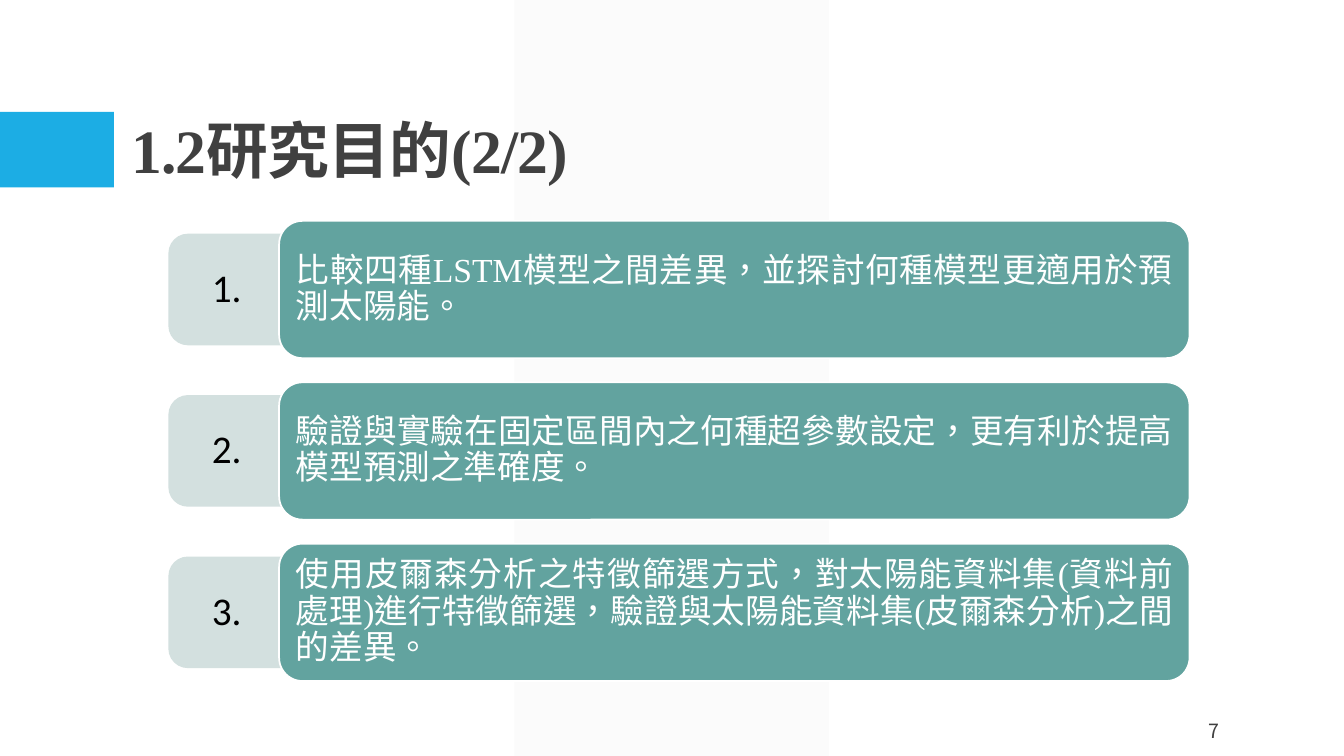
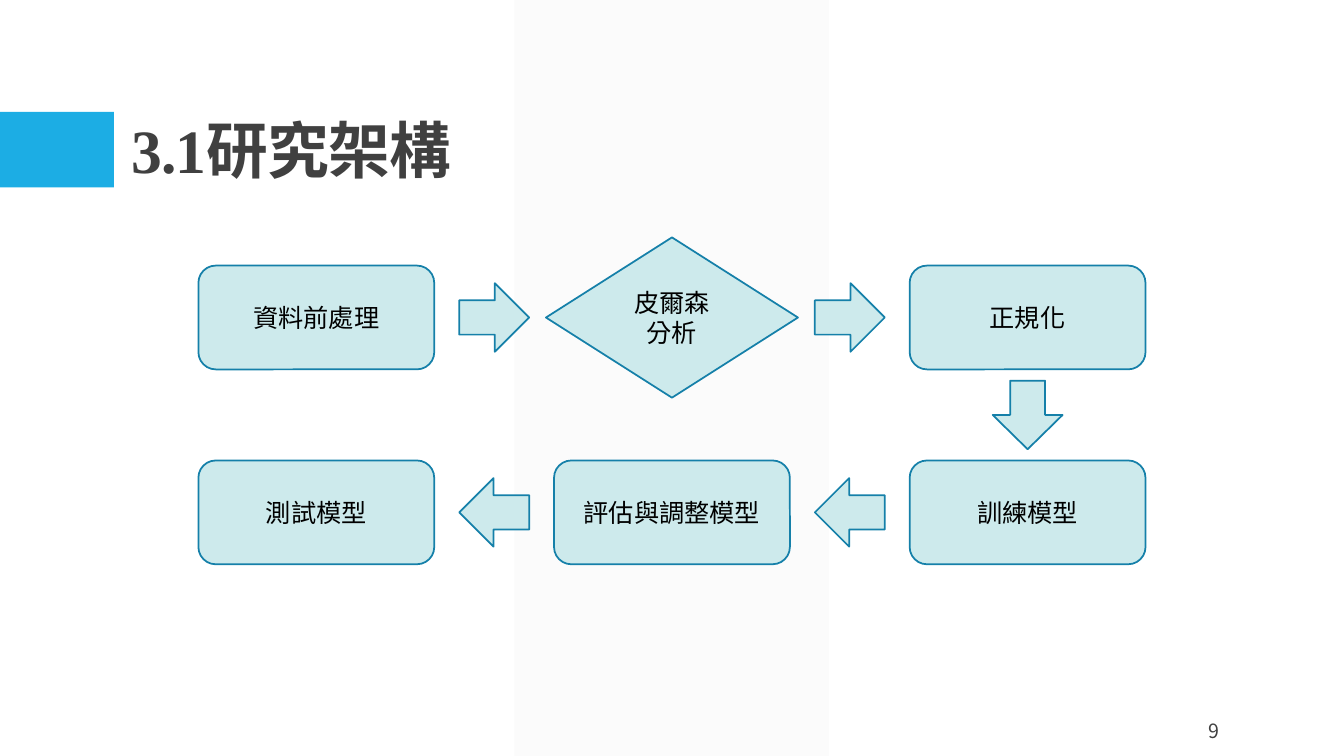
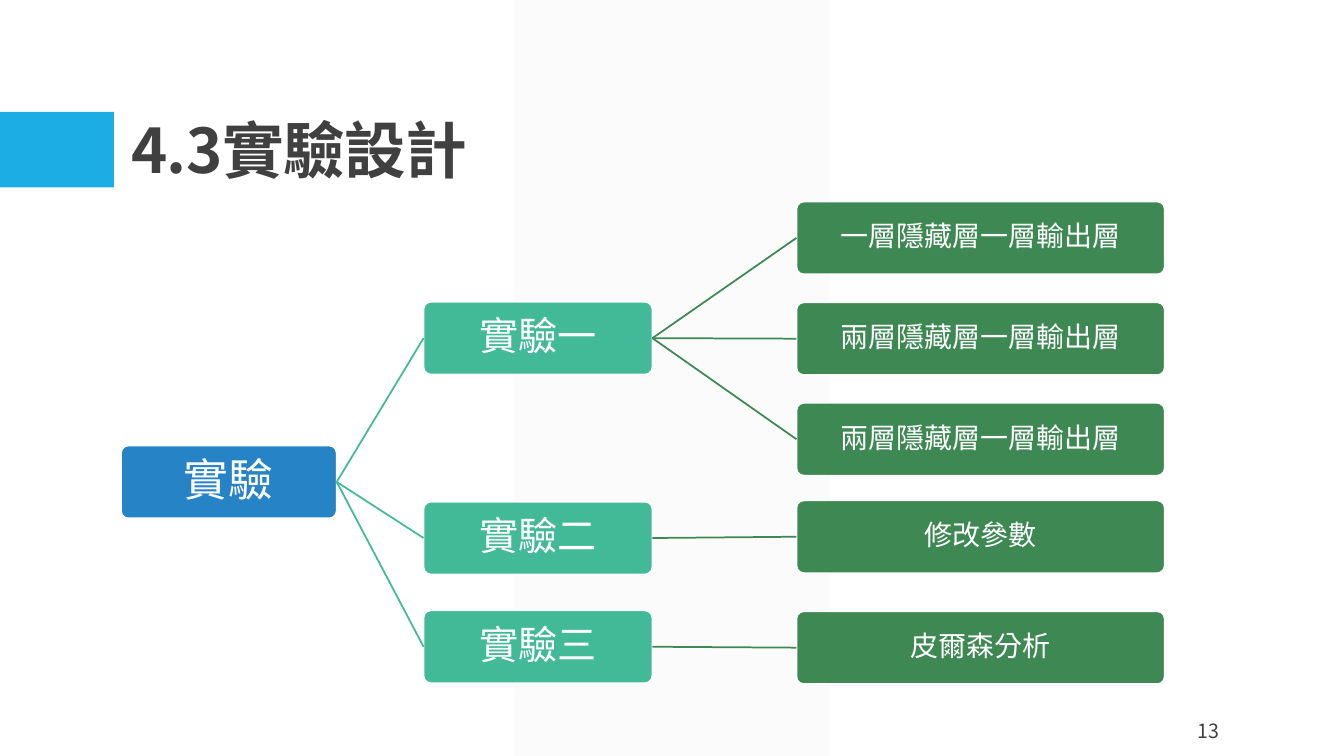
from lxml import etree
from pptx import Presentation
from pptx.dml.color import RGBColor
from pptx.enum.shapes import MSO_CONNECTOR, MSO_SHAPE
from pptx.enum.text import MSO_ANCHOR, MSO_AUTO_SIZE, PP_ALIGN
from pptx.oxml.ns import qn
from pptx.util import Inches, Pt

LEFT, CENTER, RIGHT, JUSTIFY = PP_ALIGN.LEFT, PP_ALIGN.CENTER, PP_ALIGN.RIGHT, PP_ALIGN.JUSTIFY
MIDDLE, BOTTOM = MSO_ANCHOR.MIDDLE, MSO_ANCHOR.BOTTOM
NO_AUTOFIT = MSO_AUTO_SIZE.NONE
RECT, ROUNDED, DIAMOND = MSO_SHAPE.RECTANGLE, MSO_SHAPE.ROUNDED_RECTANGLE, MSO_SHAPE.FLOWCHART_DECISION
ARROWS = {(1, 0): MSO_SHAPE.RIGHT_ARROW, (-1, 0): MSO_SHAPE.LEFT_ARROW, (0, 1): MSO_SHAPE.DOWN_ARROW}
STRAIGHT = MSO_CONNECTOR.STRAIGHT
RIGHT_SITE, LEFT_SITE = 3, 1
LINE_WIDTH = Pt(1.25)
SERIF, SANS, SANS_TC, NUMERAL = "Times New Roman", "Noto Sans CJK SC", "Noto Sans CJK TC", "Calibri"

COLORS = {
    "white": "FFFFFF", "black": "000000", "ink": "404040", "band": "F2F2F2", "accent": "1CADE4",
    "tab": "D3E0DF", "card": "62A39F", "step": "CDEAEC", "step_line": "1580A9",
    "root": "2683C6", "branch": "42BA97", "leaf": "3E8853",
}


def color(name):
    """Return the named colour."""
    return RGBColor.from_string(COLORS[name])


def write(shape, text, size, font=SERIF, east_font=SANS_TC, ink="black", bold=False,
          align=CENTER, anchor=MIDDLE, spacing=1.0, tracking=0, margins=(0.1, 0.1)):
    """Fill a shape with formatted paragraphs, one for each line of text."""
    frame = shape.text_frame
    frame.word_wrap, frame.auto_size, frame.vertical_anchor = True, NO_AUTOFIT, anchor
    frame.margin_left, frame.margin_right = (Inches(margin) for margin in margins)
    for index, line in enumerate(text.split("\n")):
        para = frame.add_paragraph() if index else frame.paragraphs[0]
        para.alignment, para.line_spacing = align, spacing
        span = para.add_run()
        span.text = line
        span.font.name, span.font.size, span.font.bold = font, Pt(size), bold
        span.font.color.rgb = color(ink)
        properties = span.font._element
        properties.set("lang", "zh-TW")
        properties.find(qn("a:latin")).addnext(
            properties.makeelement(qn("a:ea"), {"typeface": east_font}))
        if tracking:
            properties.set("spc", str(int(tracking * 100)))


class Deck:
    """Hold the shared style and the current page; lengths are percent of the slide, from centres."""

    def __init__(self):
        """Set up the slide size and the shared layout."""
        self.deck = Presentation()
        self.deck.slide_width, self.deck.slide_height = Inches(13.33), Inches(7.5)
        self.layout = self.deck.slide_layouts[5]
        self.page = None
        title = self.layout.placeholders[0]
        title.left, title.top, title.width, title.height = self.frame(50.25, 14.73, 82.5, 21.2)

    def frame(self, x, y, width, height):
        """Turn a centre and size in percent into left, top, width and height."""
        across, down = self.deck.slide_width / 100, self.deck.slide_height / 100
        return (round((x - width / 2) * across), round((y - height / 2) * down),
                round(width * across), round(height * down))

    def start(self, title, number, font=SERIF, east_font=SANS_TC):
        """Add a page with its title and number."""
        first = self.page is None
        self.page = self.deck.slides.add_slide(self.layout)
        if first:
            self.bands()
        write(self.page.shapes.title, title, 44, font, east_font, ink="ink", bold=True,
              align=LEFT, anchor=BOTTOM, spacing=0.9, tracking=-0.5)
        box = self.page.shapes.add_textbox(*self.frame(88.31, 96.67, 6.38, 5.33))
        write(box, number, 14, SANS_TC, ink="ink", align=RIGHT)

    def bands(self):
        """Draw the shared bands and move them to the layout."""
        pale = self.shape(RECT, 49.97, 50, 23.4, 100, "band", alpha=30)
        accent = self.shape(RECT, 4.24, 19.8, 8.48, 10, "accent")
        for index, band in enumerate((pale, accent), start=2):
            self.layout.shapes.element.insert(index, band.element)

    def shape(self, kind, x, y, width, height, fill, line=None, corner=None, alpha=None):
        """Add a preset shape."""
        shape = self.page.shapes.add_shape(kind, *self.frame(x, y, width, height))
        shape.shadow.inherit = False
        shape.fill.solid()
        shape.fill.fore_color.rgb = color(fill)
        if alpha:
            tint = shape.element.spPr.find(".//" + qn("a:srgbClr"))
            etree.SubElement(tint, qn("a:alpha"), val=str(alpha * 1000))
        if line:
            shape.line.color.rgb, shape.line.width = color(line), LINE_WIDTH
        else:
            shape.line.fill.background()
        if corner:
            shape.adjustments[0] = corner
        return shape

    def purpose(self, y, number, text):
        """Add a numbered tab with its card over the right end."""
        tab = self.shape(ROUNDED, 17.81, y, 10.43, 14.53, "tab", "tab", corner=0.17)
        write(tab, number, 28, NUMERAL, spacing=0.9, margins=(0.32, 0.57))
        card = self.shape(ROUNDED, 54.64, y, 67.74, 18.17, "card", "white", corner=0.17)
        write(card, text, 24, ink="white", align=JUSTIFY, spacing=0.9, margins=(0.1, 0.1))

    def node(self, level, y, text):
        """Add a tree node in the column of its level."""
        x, width, fill, size = level
        node = self.shape(ROUNDED, x, y, width, 9.63, fill, "white", corner=0.1)
        write(node, text, size, SANS, SANS, "white", spacing=0.9, margins=(0.04, 0.04))
        return node

    def link(self, parent, child, line):
        """Join the right side of a parent to the left side of a child."""
        link = self.page.shapes.add_connector(STRAIGHT, 0, 0, 0, 0)
        link.begin_connect(parent, RIGHT_SITE)
        link.end_connect(child, LEFT_SITE)
        link.line.color.rgb, link.line.width = color(line), LINE_WIDTH
        etree.SubElement(link.element.spPr, qn("a:effectLst"))


def purposes(deck):
    """Build the page of research purposes."""
    deck.start("1.2研究目的(2/2)", "7")
    texts = (
        "比較四種LSTM模型之間差異，並探討何種模型更適用於預測太陽能。",
        "驗證與實驗在固定區間內之何種超參數設定，更有利於提高模型預測之準確度。",
        "使用皮爾森分析之特徵篩選方式，對太陽能資料集(資料前處理)進行特徵篩選，"
        "驗證與太陽能資料集(皮爾森分析)之間的差異。",
    )
    for index, text in enumerate(texts):
        deck.purpose(38.3 + index * 21.35, f"{index + 1}.", text)


def architecture(deck):
    """Build the flow of the research, with an arrow midway between steps."""
    deck.start("3.1研究架構", "9")
    steps = (("資料前處理", 0, 0), ("皮爾森\n分析", 1, 0), ("正規化", 2, 0),
             ("訓練模型", 2, 1), ("評估與調整模型", 1, 1), ("測試模型", 0, 1))

    def place(column, row):
        """Return the centre of a flow cell."""
        return 23.54 + column * 26.46, 42 + row * 25.78

    for text, column, row in steps:
        kind, width, height = (DIAMOND, 18.75, 21.2) if "\n" in text else (ROUNDED, 17.55, 13.73)
        step = deck.shape(kind, *place(column, row), width, height, "step", "step_line")
        write(step, text, 18)
    for (_, column, row), (_, next_column, next_row) in zip(steps, steps[1:]):
        middle = place((column + next_column) / 2, (row + next_row) / 2)
        arrow = ARROWS[next_column - column, next_row - row]
        deck.shape(arrow, *middle, 5.2, 9.07, "step", "step_line")


def experiments(deck):
    """Build the tree of experiments."""
    deck.start("4.3實驗設計", "13", SANS, SANS)
    root_level = (17.03, 16.05, "root", 32)
    branch_level = (40.03, 17.03, "branch", 28)
    leaf_level = (72.96, 27.4, "leaf", 20)
    tree = (
        ("實驗一", 44.73, (("一層隱藏層一層輸出層", 31.47), ("兩層隱藏層一層輸出層", 44.8),
                        ("兩層隱藏層一層輸出層", 58.1))),
        ("實驗二", 71.17, (("修改參數", 71),)),
        ("實驗三", 85.55, (("皮爾森分析", 85.67),)),
    )
    root = deck.node(root_level, 63.75, "實驗")
    for name, y, leaves in tree:
        branch = deck.node(branch_level, y, name)
        deck.link(root, branch, "branch")
        for text, leaf_y in leaves:
            deck.link(branch, deck.node(leaf_level, leaf_y, text), "leaf")


def main():
    """Build and save the deck."""
    deck = Deck()
    for build in (purposes, architecture, experiments):
        build(deck)
    deck.deck.save("out.pptx")


if __name__ == "__main__":
    main()
